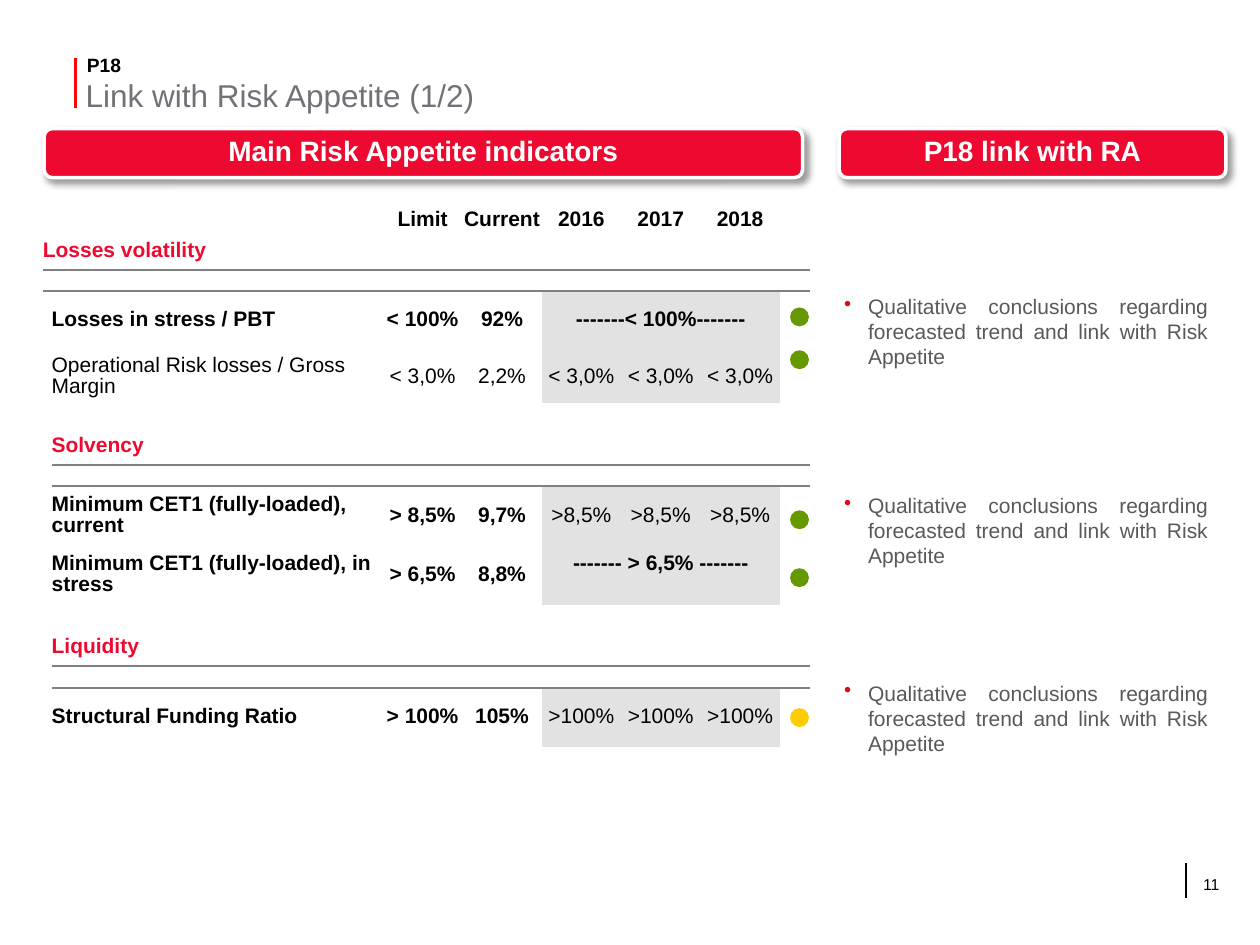
from dataclasses import dataclass
from typing import NamedTuple

from lxml import etree
from pptx import Presentation
from pptx.dml.color import RGBColor
from pptx.enum.shapes import MSO_CONNECTOR, MSO_SHAPE
from pptx.enum.text import MSO_ANCHOR, PP_ALIGN
from pptx.oxml.ns import qn
from pptx.util import Inches, Pt

LEFT, CENTER, JUSTIFY = PP_ALIGN.LEFT, PP_ALIGN.CENTER, PP_ALIGN.JUSTIFY
TOP, MIDDLE = MSO_ANCHOR.TOP, MSO_ANCHOR.MIDDLE
ROUNDED, OVAL, STRAIGHT = MSO_SHAPE.ROUNDED_RECTANGLE, MSO_SHAPE.OVAL, MSO_CONNECTOR.STRAIGHT
SLIDE_COLS, SLIDE_ROWS = 100, 75
NO_GRID_STYLE = "{2D5ABB26-0587-4C30-8999-92F81FD0307C}"


@dataclass(frozen=True)
class Theme:
    font: str = "Arial"
    red: str = "ED092F"
    accent: str = "FF0303"
    bullet: str = "DB0B11"
    black: str = "000000"
    white: str = "FFFFFF"
    title: str = "707277"
    body: str = "595959"
    rule: str = "808080"
    forecast: str = "E3E2E2"
    green: str = "669900"
    amber: str = "FFCC00"
    title_size: float = 18
    banner_size: float = 16
    text_size: float = 12
    tag_size: float = 11
    page_size: float = 9
    gap_size: float = 6


THEME = Theme()


class Box(NamedTuple):
    col: float
    row: float
    cols: float
    rows: float


class Insets(NamedTuple):
    left: float = 0
    top: float = 0
    right: float = 0
    bottom: float = 0


@dataclass(frozen=True)
class Style:
    size: float
    color: str
    bold: bool = False
    align: PP_ALIGN = LEFT


@dataclass(frozen=True)
class Indicator:
    label: str
    limit: str
    current: str
    forecasts: tuple[str, ...]
    status: str
    status_row: float
    bold: bool = True
    height: float = 4.7
    forecast_lift: float = 0


@dataclass(frozen=True)
class Section:
    heading: str
    first_col: int
    conclusion_row: float
    indicators: tuple[Indicator, ...]


HEADERS = ("Limit", "Current", "2016", "2017", "2018")
COLUMN_WIDTHS = (0.7, 25.6, 0.7) + (6.3,) * len(HEADERS) + (2.4,)
LABEL_COL, LIMIT_COL, CURRENT_COL, FORECAST_COL = 1, 3, 4, 5
HEADER_HEIGHT, HEADING_HEIGHT, RULE_HEIGHT, SECTION_GAP = 1.8, 3, 1.7, 1.9
CONCLUSION = "Qualitative conclusions regarding forecasted trend and link with Risk Appetite"
SECTIONS = (
    Section("Losses volatility", 0, 22.8, (
        Indicator("Losses in stress / PBT", "< 100%", "92%",
                  ("-------< 100%-------",), THEME.green, 24.4),
        Indicator("Operational Risk losses / Gross Margin", "< 3,0%", "2,2%",
                  ("< 3,0%",) * 3, THEME.green, 27.8, bold=False, height=4.2),
    )),
    Section("Solvency", 1, 38.6, (
        Indicator("Minimum CET1 (fully-loaded), current", "> 8,5%", "9,7%",
                  (">8,5%",) * 3, THEME.green, 40.5),
        Indicator("Minimum CET1 (fully-loaded), in stress", "> 6,5%", "8,8%",
                  ("------- > 6,5% -------",), THEME.green, 45.1, forecast_lift=1.7),
    )),
    Section("Liquidity", 1, 53.5, (
        Indicator("Structural Funding Ratio", "> 100%", "105%",
                  (">100%",) * 3, THEME.amber, 56.2),
    )),
)


def grid(units: float) -> int:
    return Inches(units / 10)


def place(box: Box) -> tuple[int, ...]:
    return tuple(grid(units) for units in box)


def write(paragraph, text: str, style: Style) -> None:
    paragraph.alignment = style.align
    run = paragraph.add_run()
    run.text = text
    run.font.name, run.font.size, run.font.bold = THEME.font, Pt(style.size), style.bold
    run.font.color.rgb = RGBColor.from_string(style.color)


def set_frame(frame, insets: Insets, anchor: MSO_ANCHOR) -> None:
    frame.word_wrap = True
    frame.vertical_anchor = anchor
    frame.margin_left, frame.margin_top, frame.margin_right, frame.margin_bottom = map(grid, insets)


def add_label(slide, box: Box, text: str, style: Style, insets: Insets = Insets()):
    frame = slide.shapes.add_textbox(*place(box)).text_frame
    set_frame(frame, insets, TOP)
    write(frame.paragraphs[0], text, style)
    return frame.paragraphs[0]


def add_rule(slide, col: float, top: float, bottom: float, color: str, width: float) -> None:
    rule = slide.shapes.add_connector(STRAIGHT, grid(col), grid(top), grid(col), grid(bottom))
    rule.line.color.rgb = RGBColor.from_string(color)
    rule.line.width = Pt(width)
    etree.SubElement(rule._element.spPr, qn("a:effectLst"))


def add_filled(slide, kind: MSO_SHAPE, box: Box, color: str):
    shape = slide.shapes.add_shape(kind, *place(box))
    shape.shadow.inherit = False
    shape.fill.solid()
    shape.fill.fore_color.rgb = RGBColor.from_string(color)
    shape.line.fill.background()
    return shape


def add_banner(slide, box: Box, text: str) -> None:
    banner = add_filled(slide, ROUNDED, box, THEME.red)
    banner.line.color.rgb = RGBColor.from_string(THEME.white)
    banner.line.width = Pt(2)
    effects = banner._element.spPr.find(qn("a:effectLst"))
    shadow = etree.SubElement(effects, qn("a:outerShdw"), blurRad=str(Pt(4)), dist=str(Pt(3)),
                              dir="2700000", algn="tl", rotWithShape="0")
    tint = etree.SubElement(shadow, qn("a:srgbClr"), val=THEME.black)
    etree.SubElement(tint, qn("a:alpha"), val="40000")
    set_frame(banner.text_frame, Insets(0.4, 0.5, 0.4, 0.5), MIDDLE)
    paragraph = banner.text_frame.paragraphs[0]
    paragraph.line_spacing = Pt(16)
    write(paragraph, text, Style(THEME.banner_size, THEME.white, True, CENTER))


def add_conclusion(slide, row: float) -> None:
    paragraph = add_label(slide, Box(66.6, row, 30.3, 8.3), CONCLUSION,
                          Style(THEME.text_size, THEME.body, align=JUSTIFY),
                          Insets(0.4, 0.5, 1, 0.5))
    paragraph.space_before = Pt(6)
    props = paragraph._p.get_or_add_pPr()
    props.set("marL", str(grid(1.9)))
    props.set("indent", str(grid(-1.9)))
    color = etree.SubElement(props, qn("a:buClr"))
    etree.SubElement(color, qn("a:srgbClr"), val=THEME.bullet)
    etree.SubElement(props, qn("a:buChar"), char="•")


def fill_cell(cell, text: str, bold: bool = True, color: str = THEME.black,
              align: PP_ALIGN = CENTER) -> None:
    paragraph = cell.text_frame.paragraphs[0]
    paragraph.line_spacing = 0.9
    write(paragraph, text, Style(THEME.text_size, color, bold, align))


def add_border(cell, side: str) -> None:
    border = etree.Element(qn(side), w=str(Pt(1.5)))
    fill = etree.SubElement(border, qn("a:solidFill"))
    etree.SubElement(fill, qn("a:srgbClr"), val=THEME.rule)
    cell._tc.get_or_add_tcPr().insert(0, border)


def fill_heading(table, row: int, section: Section) -> None:
    start = section.first_col
    for offset, side in enumerate(("a:lnB", "a:lnT")):
        table.cell(row + offset, start).merge(table.cell(row + offset, start + 1))
        for col in range(start, len(COLUMN_WIDTHS)):
            add_border(table.cell(row + offset, col), side)
    fill_cell(table.cell(row, start), section.heading, color=THEME.red, align=LEFT)


def fill_indicator(table, row: int, item: Indicator) -> None:
    fill_cell(table.cell(row, LABEL_COL), item.label, item.bold, align=LEFT)
    fill_cell(table.cell(row, LIMIT_COL), item.limit, item.bold)
    fill_cell(table.cell(row, CURRENT_COL), item.current, item.bold)
    merged = len(item.forecasts) == 1
    for col in range(FORECAST_COL, FORECAST_COL + 3):
        cell = table.cell(row, col)
        cell.fill.solid()
        cell.fill.fore_color.rgb = RGBColor.from_string(THEME.forecast)
    if merged:
        table.cell(row, FORECAST_COL).merge(table.cell(row, FORECAST_COL + 2))
    for col, text in enumerate(item.forecasts, FORECAST_COL):
        table.cell(row, col).margin_bottom = grid(item.forecast_lift)
        fill_cell(table.cell(row, col), text, merged)


def add_indicator_table(slide) -> None:
    heights = [HEADER_HEIGHT]
    starts = []
    for section in SECTIONS:
        heights += [SECTION_GAP] if starts else []
        starts.append(len(heights))
        heights += [HEADING_HEIGHT, RULE_HEIGHT, *(item.height for item in section.indicators)]
    box = Box(3.4, 16.6, sum(COLUMN_WIDTHS), sum(heights))
    table = slide.shapes.add_table(len(heights), len(COLUMN_WIDTHS), *place(box)).table
    table.first_row = table.horz_banding = False
    table._tbl.tblPr.find(qn("a:tableStyleId")).text = NO_GRID_STYLE
    for column, width in zip(table.columns, COLUMN_WIDTHS):
        column.width = grid(width)
    for row, height in zip(table.rows, heights):
        row.height = grid(height)
    for cell in table.iter_cells():
        cell.fill.background()
        cell.vertical_anchor = MIDDLE
        cell.margin_left = cell.margin_top = cell.margin_right = cell.margin_bottom = 0
    for col, text in enumerate(HEADERS, LIMIT_COL):
        fill_cell(table.cell(0, col), text)
    for start, section in zip(starts, SECTIONS):
        fill_heading(table, start, section)
        for row, item in enumerate(section.indicators, start + 2):
            fill_indicator(table, row, item)
    for cell in table.iter_cells():
        if not cell.text_frame.text:
            etree.SubElement(cell.text_frame.paragraphs[0]._p, qn("a:endParaRPr"),
                             sz=str(int(THEME.gap_size * 100)))


def main() -> None:
    deck = Presentation()
    deck.slide_width, deck.slide_height = grid(SLIDE_COLS), grid(SLIDE_ROWS)
    slide = deck.slides.add_slide(deck.slide_layouts[6])
    add_rule(slide, 6, 4.6, 8.6, THEME.accent, 1.5)
    add_rule(slide, 94.1, 68.5, 71.3, THEME.black, 1)
    add_label(slide, Box(6.9, 4.2, 50.6, 2.2), "P18", Style(THEME.tag_size, THEME.black, True))
    add_label(slide, Box(6.8, 6, 73.5, 3.6), "Link with Risk Appetite (1/2)",
              Style(THEME.title_size, THEME.title))
    add_label(slide, Box(94.5, 68.9, 4.2, 4), "11", Style(THEME.page_size, THEME.black),
              Insets(1, 0.5, 1, 0.5))
    add_banner(slide, Box(3.5, 10.2, 60.2, 3.9), "Main Risk Appetite indicators")
    add_indicator_table(slide)
    add_banner(slide, Box(66.6, 10.2, 30.7, 3.9), "P18 link with RA")
    for section in SECTIONS:
        add_conclusion(slide, section.conclusion_row)
        for item in section.indicators:
            add_filled(slide, OVAL, Box(62.7, item.status_row, 1.5, 1.5), item.status)
    deck.save("out.pptx")


if __name__ == "__main__":
    main()
